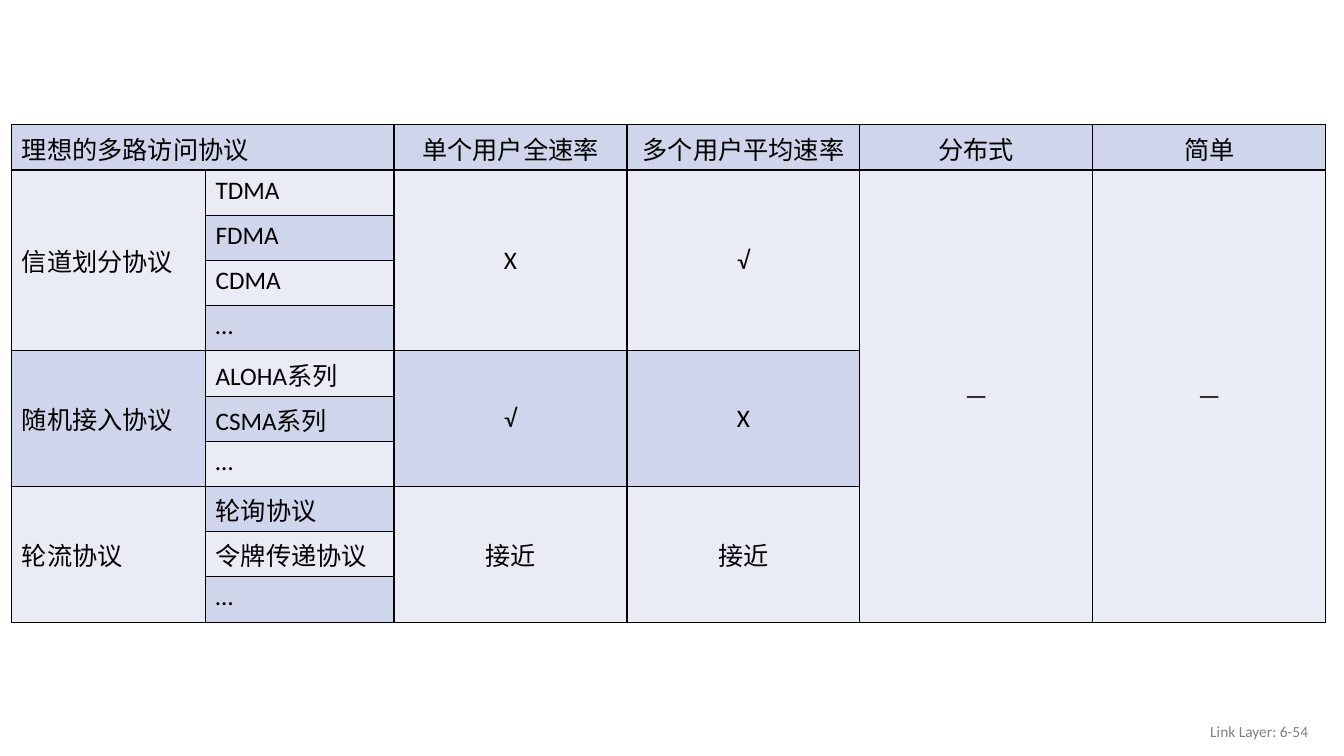
"""Build a slide comparing multiple access protocols with the ideal one."""
from lxml import etree
from pptx import Presentation
from pptx.dml.color import RGBColor
from pptx.enum import text
from pptx.oxml import ns
from pptx.util import Cm, Pt

HUES = {"dark": "CFD5EA", "light": "E9EBF5", "ink": "000000", "gray": "808080"}
HEADS = ["理想的多路访问协议", "", "单个用户全速率", "多个用户平均速率", "分布式", "简单"]
GROUPS = [
    ("信道划分协议", ["TDMA", "FDMA", "CDMA", "…"], "X", "√"),
    ("随机接入协议", ["ALOHA系列", "CSMA系列", "…"], "√", "X"),
    ("轮流协议", ["轮询协议", "令牌传递协议", "…"], "接近", "接近"),
]
LEFT, MID, RIGHT = text.PP_ALIGN.LEFT, text.PP_ALIGN.CENTER, text.PP_ALIGN.RIGHT


def write(frame, words, align, size=18, hue="ink"):
    para = frame.paragraphs[0]
    para.text = words
    para.alignment = align
    look = {"name": "Calibri", "size": Pt(size), "bold": False}
    for key, val in look.items():
        setattr(para.font, key, val)
    para.font.color.rgb = RGBColor.from_string(HUES[hue])


def edge(cell, sides):
    props = cell._tc.get_or_add_tcPr()
    for side in sides:
        line = etree.SubElement(props, ns.qn("a:ln" + side), w=str(Pt(1)))
        fill = etree.SubElement(line, ns.qn("a:solidFill"))
        etree.SubElement(fill, ns.qn("a:srgbClr"), val=HUES["ink"])


deck = Presentation()
deck.slide_width, deck.slide_height = Cm(33.87), Cm(19.05)
slide = deck.slides.add_slide(deck.slide_layouts[6])

note = slide.shapes.add_textbox(Cm(25.6), Cm(17.91), Cm(7.62), Cm(1.02)).text_frame
note.word_wrap = True
note.vertical_anchor = text.MSO_ANCHOR.MIDDLE
write(note, "Link Layer: 6-54", RIGHT, 11, "gray")

widths = [4.88, 4.75] + [5.87] * 4
heights = [0.66] + [1.14] * 11
grid = slide.shapes.add_table(len(heights), len(widths), Cm(0.3), Cm(2.13),
                              Cm(sum(widths)), Cm(sum(heights))).table
grid.first_row = grid.horz_banding = False
for col, width in zip(grid.columns, widths):
    col.width = Cm(width)
for row, height in zip(grid.rows, heights):
    row.height = Cm(height)

for c in range(len(widths)):
    top = grid.cell(0, c)
    edge(top, "B")
    top.fill.background()
    for r in range(1, len(heights)):
        edge(grid.cell(r, c), "LRTB")

items = [(1, c, 1, words, "dark") for c, words in enumerate(HEADS) if words]
start = 2
for g, (name, kinds, single, multi) in enumerate(GROUPS):
    tone = "dark" if g % 2 else "light"
    for c, words in ((0, name), (2, single), (3, multi)):
        items.append((start, c, len(kinds), words, tone))
    for r, kind in enumerate(kinds, start):
        items.append((r, 1, 1, kind, "dark" if r % 2 else "light"))
    start += len(kinds)
items += [(2, c, start - 2, "—", "light") for c in (4, 5)]

grid.cell(1, 0).merge(grid.cell(1, 1))
for r, c, span, words, tone in items:
    cell = grid.cell(r, c)
    if span > 1:
        cell.merge(grid.cell(r + span - 1, c))
    if span > 1 or c == 0:
        cell.vertical_anchor = text.MSO_ANCHOR.MIDDLE
    cell.fill.solid()
    cell.fill.fore_color.rgb = RGBColor.from_string(HUES[tone])
    write(cell.text_frame, words, MID if c > 1 else LEFT)

deck.save("out.pptx")
